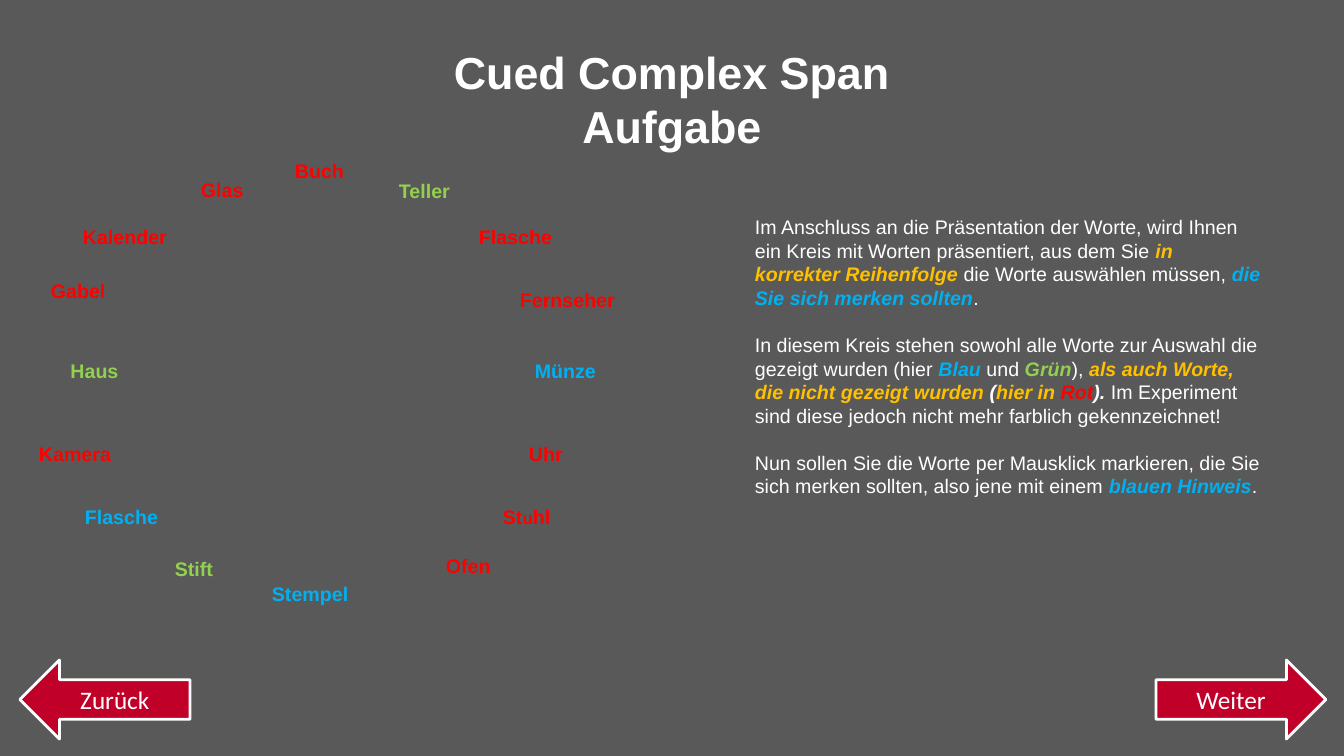
from dataclasses import dataclass

from pptx import Presentation
from pptx.dml.color import RGBColor
from pptx.enum.shapes import MSO_SHAPE
from pptx.enum.text import MSO_ANCHOR, MSO_AUTO_SIZE, PP_ALIGN
from pptx.util import Pt


@dataclass(frozen=True)
class Theme:
    back: str = "595959"
    white: str = "FFFFFF"
    gold: str = "FFC000"
    red: str = "FF0000"
    blue: str = "01B0F1"
    green: str = "92D14F"
    arrow: str = "C1002A"
    font: str = "Arial"
    button: str = "Calibri"
    title: int = 32
    label: int = 18
    body: int = 14
    small: int = 12
    gap: int = 17


def px(count):
    """Turn px into EMU, at 100.8 px to the inch."""
    return round(count * 9144000 / 1008)


def tint(color, value):
    color.rgb = RGBColor.from_string(value)


class Page:
    def __init__(self, slide, theme):
        self.slide = slide
        self.theme = theme
        fill = slide.background.fill
        fill.solid()
        tint(fill.fore_color, theme.back)

    def style(self, par, size, color, bold=False, name=None):
        par.font.name = name or self.theme.font
        par.font.size = Pt(size)
        par.font.bold = bold
        tint(par.font.color, color)

    def box(self, left, top, width, height):
        """Add an empty wrapping text box and return its frame."""
        shape = self.slide.shapes.add_textbox(*map(px, (left, top, width, height)))
        frame = shape.text_frame
        frame.word_wrap = True
        frame.auto_size = MSO_AUTO_SIZE.SHAPE_TO_FIT_TEXT
        return frame

    def title(self, text, *place):
        par = self.box(*place).paragraphs[0]
        par.text = text
        par.alignment = PP_ALIGN.CENTER
        self.style(par, self.theme.title, self.theme.white, True)

    def word(self, parts, color, left, top, width, align=PP_ALIGN.LEFT):
        """Add one bold word; every second part of it is set smaller."""
        par = self.box(left, top, width, 33).paragraphs[0]
        par.alignment = align
        for index, part in enumerate(parts.split("|")):
            run = par.add_run()
            run.text = part
            if index % 2:
                run.font.size = Pt(self.theme.small)
        self.style(par, self.theme.body, color, True)

    def prose(self, blocks, *place):
        """Add paragraphs of (text, color) parts; a color marks stressed text."""
        frame = self.box(*place)
        for index, block in enumerate(blocks):
            par = frame.add_paragraph() if index else frame.paragraphs[0]
            if index:
                par.space_before = Pt(self.theme.gap)
            self.style(par, self.theme.body, self.theme.white)
            for text, color in block:
                run = par.add_run()
                run.text = text
                if color:
                    run.font.bold = run.font.italic = True
                    tint(run.font.color, color)

    def arrow(self, kind, text, *place):
        shape = self.slide.shapes.add_shape(kind, *map(px, place))
        shape.shadow.inherit = False
        shape.fill.solid()
        tint(shape.fill.fore_color, self.theme.arrow)
        tint(shape.line.color, self.theme.white)
        shape.line.width = Pt(2)
        frame = shape.text_frame
        frame.vertical_anchor = MSO_ANCHOR.MIDDLE
        par = frame.paragraphs[0]
        par.text = text
        par.alignment = PP_ALIGN.CENTER
        self.style(par, self.theme.label, self.theme.white, name=self.theme.button)


def main():
    deck = Presentation()
    deck.slide_width, deck.slide_height = px(1344), px(756)
    theme = Theme()
    page = Page(deck.slides.add_slide(deck.slide_layouts[6]), theme)
    white, gold, red = theme.white, theme.gold, theme.red
    blue, green = theme.blue, theme.green

    page.prose([
        [("Im Anschluss an die Präsentation der Worte, wird Ihnen ein Kreis "
          "mit Worten präsentiert, aus dem Sie ", None),
         ("in korrekter Reihenfolge ", gold),
         ("die Worte auswählen müssen, ", None),
         ("die Sie sich merken sollten", blue), (".", None)],
        [("In diesem Kreis stehen sowohl alle Worte zur Auswahl die gezeigt "
          "wurden (hier ", None),
         ("Blau", blue), (" und ", None), ("Grün", green), ("), ", None),
         ("als auch Worte, die nicht gezeigt wurden ", gold),
         ("(", white), ("hier in ", gold), ("Rot", red), ("). ", white),
         ("Im Experiment sind diese jedoch nicht mehr farblich "
          "gekennzeichnet!", None)],
        [("Nun sollen Sie die Worte per Mausklick markieren, die Sie sich "
          "merken sollten, also jene mit einem ", None),
         ("blauen Hinweis", blue), (".", None)],
    ], 745, 210, 527, 315)

    page.arrow(MSO_SHAPE.RIGHT_ARROW, "Weiter", 1156, 660, 170, 79)
    page.arrow(MSO_SHAPE.LEFT_ARROW, "Zurück", 20, 660, 170, 79)
    page.title("Cued Complex Span Aufgabe", 360, 40, 624, 64)

    # The circle of words, clockwise from the top
    for word in [
        ("Buch", red, 285, 154, 77),
        ("Teller", green, 389, 174, 104),
        ("Flasche", red, 469, 220, 111),
        ("Fernseher", red, 510, 283, 136),
        ("Münze", blue, 525, 354, 92),
        ("Uhr", red, 519, 437, 92),
        ("St|u|hl", red, 493, 500, 74),
        ("Ofen", red, 436, 549, 74),
        ("Stempel", blue, 262, 577, 108),
        ("Stift", green, 165, 552, 77),
        ("Flasche", blue, 75, 500, 99),
        ("Kamera", red, 29, 437, 104),
        ("Haus", green, 56, 354, 77, PP_ALIGN.CENTER),
        ("Gabel", red, 41, 274, 99),
        ("Kalender", red, 73, 220, 117),
        ("Glas", red, 191, 173, 77),
    ]:
        page.word(*word)

    deck.save("out.pptx")


if __name__ == "__main__":
    main()
